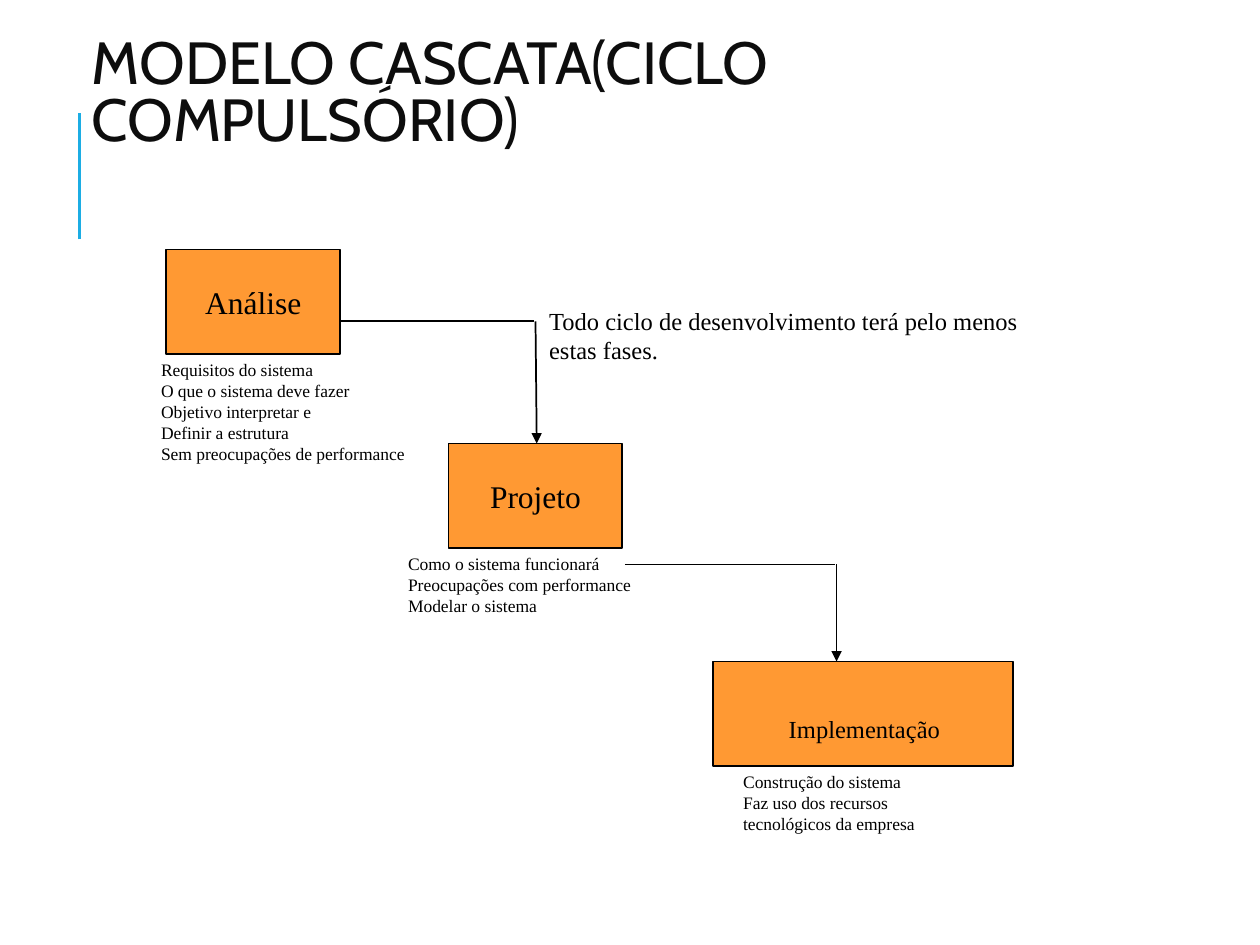
from pptx import Presentation
from pptx.dml.color import RGBColor
from pptx.enum.shapes import MSO_CONNECTOR, MSO_SHAPE
from pptx.enum.text import MSO_ANCHOR, MSO_AUTO_SIZE, PP_ALIGN
from pptx.oxml.ns import qn
from pptx.util import Inches, Pt
from lxml import etree

STRAIGHT, RECTANGLE = MSO_CONNECTOR.STRAIGHT, MSO_SHAPE.RECTANGLE
MIDDLE, TOP = MSO_ANCHOR.MIDDLE, MSO_ANCHOR.TOP
LEFT, CENTER = PP_ALIGN.LEFT, PP_ALIGN.CENTER
NO_AUTOFIT = MSO_AUTO_SIZE.NONE

BLACK, ORANGE, BLUE, TITLE_COLOR = "000000", "FF9933", "1CADE4", "0D0D0D"
TITLE_FONT, BODY_FONT = "Cabin", "Times New Roman"


def color(hex_string):
    return RGBColor.from_string(hex_string)


def write(shape, lines, size, font=BODY_FONT, text_color=BLACK, align=LEFT, anchor=TOP):
    """Fill a shape with one paragraph per line in a single style."""
    text_frame = shape.text_frame
    text_frame.word_wrap = True
    text_frame.auto_size = NO_AUTOFIT
    text_frame.vertical_anchor = anchor
    text_frame.text = "\n".join(lines)
    for paragraph in text_frame.paragraphs:
        paragraph.alignment = align
        for run in paragraph.runs:
            run.font.size = Pt(size)
            run.font.name = font
            run.font.color.rgb = color(text_color)


def add_line(slide, start, end, line_color=BLACK, width=1, arrow=False):
    points = [Inches(value) for value in (*start, *end)]
    connector = slide.shapes.add_connector(STRAIGHT, *points)
    connector.line.color.rgb = color(line_color)
    connector.line.width = Pt(width)
    if arrow:
        line = connector.line._get_or_add_ln()
        etree.SubElement(line, qn("a:tailEnd"), type="triangle")
    etree.SubElement(connector._element.spPr, qn("a:effectLst"))


def add_title(slide, box, text):
    title = slide.shapes.title
    title.left, title.top, title.width, title.height = map(Inches, box)
    write(title, [text], 34, TITLE_FONT, TITLE_COLOR, anchor=MIDDLE)
    title.text_frame.paragraphs[0].line_spacing = 0.8
    add_line(slide, (0.63, 1.9), (0.63, 0.9), BLUE, 1.5)


def add_phase(slide, box, name, size=18, align=CENTER):
    phase = slide.shapes.add_shape(RECTANGLE, *map(Inches, box))
    phase.shadow.inherit = False
    phase.fill.solid()
    phase.fill.fore_color.rgb = color(ORANGE)
    phase.line.color.rgb = color(BLACK)
    phase.line.width = Pt(1)
    write(phase, [name], size, align=align, anchor=MIDDLE)
    return phase


def add_note(slide, box, lines, size=10):
    write(slide.shapes.add_textbox(*map(Inches, box)), lines, size)


def add_step(slide, start, corner, end):
    """Lead from one phase across and down to the next."""
    add_line(slide, start, corner)
    add_line(slide, (corner[0] + 0.01, corner[1]), end, arrow=True)


def add_waterfall(slide):
    add_phase(slide, (1.32, 1.98, 1.38, 0.83), "Análise")
    add_phase(slide, (3.56, 3.52, 1.38, 0.83), "Projeto")
    last_phase = add_phase(slide, (5.66, 5.25, 2.38, 0.83), "Implementação", 14, LEFT)
    last_phase.text_frame.margin_left = Inches(0.6)
    last_phase.text_frame.margin_top = Inches(0.28)

    add_step(slide, (2.71, 2.55), (4.24, 2.55), (4.26, 3.52))
    add_step(slide, (4.96, 4.48), (6.63, 4.48), (6.64, 5.25))

    add_note(slide, (1.18, 2.8, 2.24, 3.08), [
        "Requisitos do sistema",
        "O que o sistema deve fazer",
        "Objetivo interpretar e",
        "Definir a estrutura",
        "Sem preocupações de performance",
    ])
    add_note(slide, (3.14, 4.34, 2.38, 2.12), [
        "Como o sistema funcionará",
        "Preocupações com performance",
        "Modelar o sistema",
    ])
    add_note(slide, (5.8, 6.07, 1.96, 1.4), [
        "Construção do sistema",
        "Faz uso dos recursos tecnológicos da empresa",
    ])
    add_note(slide, (4.26, 2.38, 4.2, 0.96),
             ["Todo ciclo de desenvolvimento terá pelo menos estas fases."], 14)


def main():
    presentation = Presentation()
    presentation.slide_width = Inches(10)
    presentation.slide_height = Inches(7.5)
    slide = presentation.slides.add_slide(presentation.slide_layouts[5])
    add_title(slide, (0.63, 0.33, 8.75, 0.86), "MODELO CASCATA(CICLO COMPULSÓRIO)")
    add_waterfall(slide)
    presentation.save("out.pptx")


if __name__ == "__main__":
    main()
